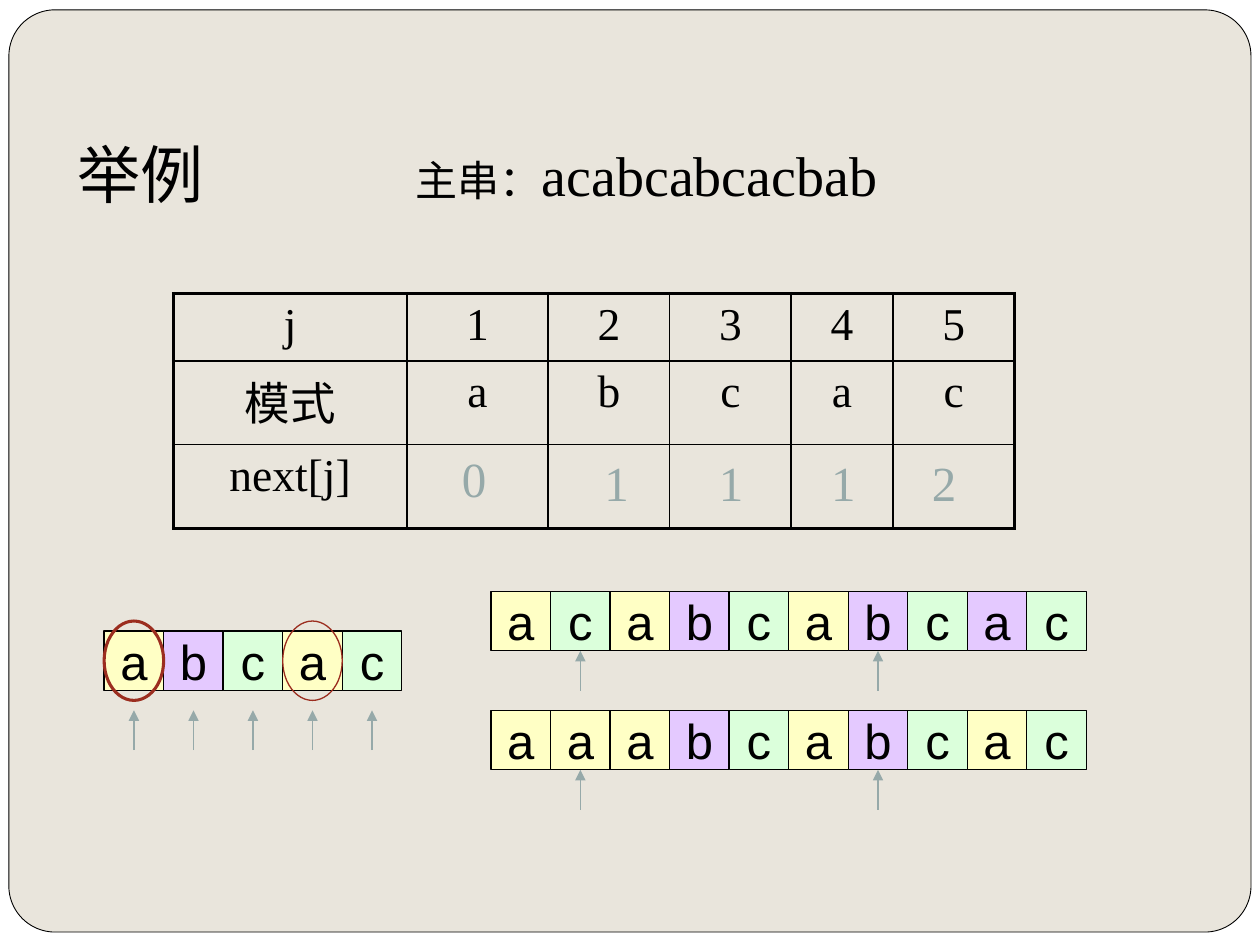
from dataclasses import dataclass
from typing import Any

import pptx
import pptx.dml.color
import pptx.enum.shapes
import pptx.enum.text
import pptx.oxml.ns
import pptx.util
from lxml import etree

Cm = pptx.util.Cm
Pt = pptx.util.Pt
RGBColor = pptx.dml.color.RGBColor
MSO_SHAPE = pptx.enum.shapes.MSO_SHAPE
MSO_ANCHOR = pptx.enum.text.MSO_ANCHOR
PP_ALIGN = pptx.enum.text.PP_ALIGN
qn = pptx.oxml.ns.qn

BLACK = RGBColor(0x00, 0x00, 0x00)
WHITE = RGBColor(0xFF, 0xFF, 0xFF)
SAND = RGBColor(0xE9, 0xE5, 0xDC)
GRAY = RGBColor(0x96, 0xA9, 0xA9)
RED = RGBColor(0x9B, 0x2D, 0x1F)
YELLOW = RGBColor(0xFF, 0xFF, 0xC5)
LILAC = RGBColor(0xE4, 0xC9, 0xFF)
GREEN = RGBColor(0xDB, 0xFF, 0xDB)

SERIF = "Times New Roman"
CJK = "Noto Sans CJK SC"
CELL = 1.2
ARROW = 0.8
FILLS = {"a": YELLOW, "b": LILAC, "c": GREEN}
THIN, THICK = 1, 2.25


@dataclass(frozen=True)
class Strip:
    letters: str
    fills: str
    left: float
    top: float
    arrows: tuple[int, ...]
    arrow_gap: float = 0


@dataclass(frozen=True)
class NextValue:
    text: str
    left: float
    top: float = 8.99


STRIPS = [
    Strip("abcac", "abcac", 2.1, 12.72, (0, 1, 2, 3, 4), 0.4),
    Strip("acabcabcac", "acabcabcbc", 9.9, 11.92, (1, 6)),
    Strip("aaabcabcac", "aaabcabcac", 9.9, 14.32, (1, 6)),
]
NEXT_VALUES = [
    NextValue("0", 8.51, 8.92),
    NextValue("1", 11.38),
    NextValue("1", 13.69),
    NextValue("1", 15.95),
    NextValue("2", 17.98),
]
ROWS = [["j", "1", "2", "3", "4", "5"],
        ["模式", "a", "b", "c", "a", "c"],
        ["next[j]", "", "", "", "", ""]]
COL_WIDTHS = [4.7, 2.85, 2.45, 2.45, 2.05, 2.45]
ROW_HEIGHTS = [0.97, 1.69, 1.69]


def set_all(target: Any, values: dict[str, Any]) -> None:
    for name, value in values.items():
        setattr(target, name, value)


def add_run(p: Any, text: str, size: float, name: str, color: RGBColor) -> None:
    r = p.add_run()
    r.text = text
    set_all(r.font, {"size": Pt(size), "name": name, "bold": False})
    r.font.color.rgb = color
    etree.SubElement(r.font._element, qn("a:ea"), typeface=CJK)


def add_shape(s: Any, kind: Any, box: tuple[float, ...], fill: RGBColor | None,
              line: RGBColor, width: float) -> Any:
    sp = s.shapes.add_shape(kind, *map(Cm, box))
    sp.shadow.inherit = False
    if fill is None:
        sp.fill.background()
    else:
        sp.fill.solid()
        sp.fill.fore_color.rgb = fill
    sp.line.color.rgb = line
    sp.line.width = Pt(width)
    return sp


def add_arrow(s: Any, x: float, tip: float) -> None:
    kind = pptx.enum.shapes.MSO_CONNECTOR.STRAIGHT
    c = s.shapes.add_connector(kind, Cm(x), Cm(tip + ARROW), Cm(x), Cm(tip))
    c.line.color.rgb = GRAY
    c.line.width = Pt(0.75)
    etree.SubElement(c.line._get_or_add_ln(), qn("a:tailEnd"), type="triangle")
    etree.SubElement(c._element.spPr, qn("a:effectLst"))


def add_strip(s: Any, strip: Strip) -> None:
    for i, (letter, fill) in enumerate(zip(strip.letters, strip.fills)):
        box = (strip.left + i * CELL, strip.top, CELL, CELL)
        sp = add_shape(s, MSO_SHAPE.RECTANGLE, box, FILLS[fill], BLACK, 0.75)
        tf = sp.text_frame
        set_all(tf, {"word_wrap": False, "vertical_anchor": MSO_ANCHOR.MIDDLE})
        p = tf.paragraphs[0]
        p.alignment = PP_ALIGN.CENTER
        add_run(p, letter, 28, "Arial", BLACK)
    for i in strip.arrows:
        add_arrow(s, strip.left + (i + 0.5) * CELL, strip.top + CELL + strip.arrow_gap)


def add_textbox(s: Any, box: tuple[float, ...], align: Any) -> Any:
    tf = s.shapes.add_textbox(*map(Cm, box)).text_frame
    tf.word_wrap = True
    p = tf.paragraphs[0]
    p.alignment = align
    return p


def set_borders(cell: Any, widths: dict[str, float]) -> None:
    tcPr = cell._tc.get_or_add_tcPr()
    for side, width in widths.items():
        ln = etree.SubElement(tcPr, qn(f"a:ln{side}"), w=str(Pt(width)))
        fill = etree.SubElement(ln, qn("a:solidFill"))
        etree.SubElement(fill, qn("a:srgbClr"), val=str(BLACK))


def add_next_table(s: Any) -> None:
    last_row, last_col = len(ROWS) - 1, len(COL_WIDTHS) - 1
    tbl = s.shapes.add_table(len(ROWS), len(COL_WIDTHS), Cm(3.5), Cm(5.92),
                             Cm(sum(COL_WIDTHS)), Cm(sum(ROW_HEIGHTS))).table
    set_all(tbl, {"first_row": False, "horz_banding": False})
    for col, width in zip(tbl.columns, COL_WIDTHS):
        col.width = Cm(width)
    for i, (row, height) in enumerate(zip(ROWS, ROW_HEIGHTS)):
        tbl.rows[i].height = Cm(height)
        for j, text in enumerate(row):
            cell = tbl.cell(i, j)
            set_borders(cell, {"L": THICK if j == 0 else THIN,
                               "R": THICK if j == last_col else THIN,
                               "T": THICK if i == 0 else THIN,
                               "B": THICK if i == last_row else THIN})
            cell.fill.background()
            if text:
                p = cell.text_frame.paragraphs[0]
                p.alignment = PP_ALIGN.CENTER
                add_run(p, text, 26, SERIF, BLACK)


def add_title(s: Any) -> None:
    title = s.shapes.title
    set_all(title, {"left": Cm(1.3), "top": Cm(1.32), "width": Cm(22.86), "height": Cm(3.18)})
    tf = title.text_frame
    set_all(tf, {"vertical_anchor": MSO_ANCHOR.BOTTOM, "margin_bottom": Cm(0.25)})
    p = tf.paragraphs[0]
    p.alignment = PP_ALIGN.LEFT
    add_run(p, "举例", 36, CJK, BLACK)


def main() -> None:
    prs = pptx.Presentation()
    set_all(prs, {"slide_width": Cm(25.4), "slide_height": Cm(19.05)})
    s = prs.slides.add_slide(prs.slide_layouts[5])
    s.background.fill.solid()
    s.background.fill.fore_color.rgb = WHITE

    panel = add_shape(s, MSO_SHAPE.ROUNDED_RECTANGLE, (0.18, 0.2, 25.04, 18.59),
                      SAND, BLACK, 0.5)
    panel.adjustments[0] = 0.05
    s.shapes._spTree.insert(2, panel._element)

    add_title(s)
    p = add_textbox(s, (8.13, 2.7, 10.52, 2.2), PP_ALIGN.LEFT)
    add_run(p, "主串：", 24, SERIF, BLACK)
    add_run(p, "acabcabcacbab", 32, SERIF, BLACK)

    add_next_table(s)
    for value in NEXT_VALUES:
        p = add_textbox(s, (value.left, value.top, 2.1, 1.45), PP_ALIGN.CENTER)
        add_run(p, value.text, 28, SERIF, GRAY)

    for strip in STRIPS:
        add_strip(s, strip)
    pattern = STRIPS[0]
    for i, width in ((0, 1.75), (3, 0.75)):
        add_shape(s, MSO_SHAPE.OVAL, (pattern.left + i * CELL, pattern.top - 0.2, CELL, 1.6),
                  None, RED, width)
    prs.save("out.pptx")


if __name__ == "__main__":
    main()
